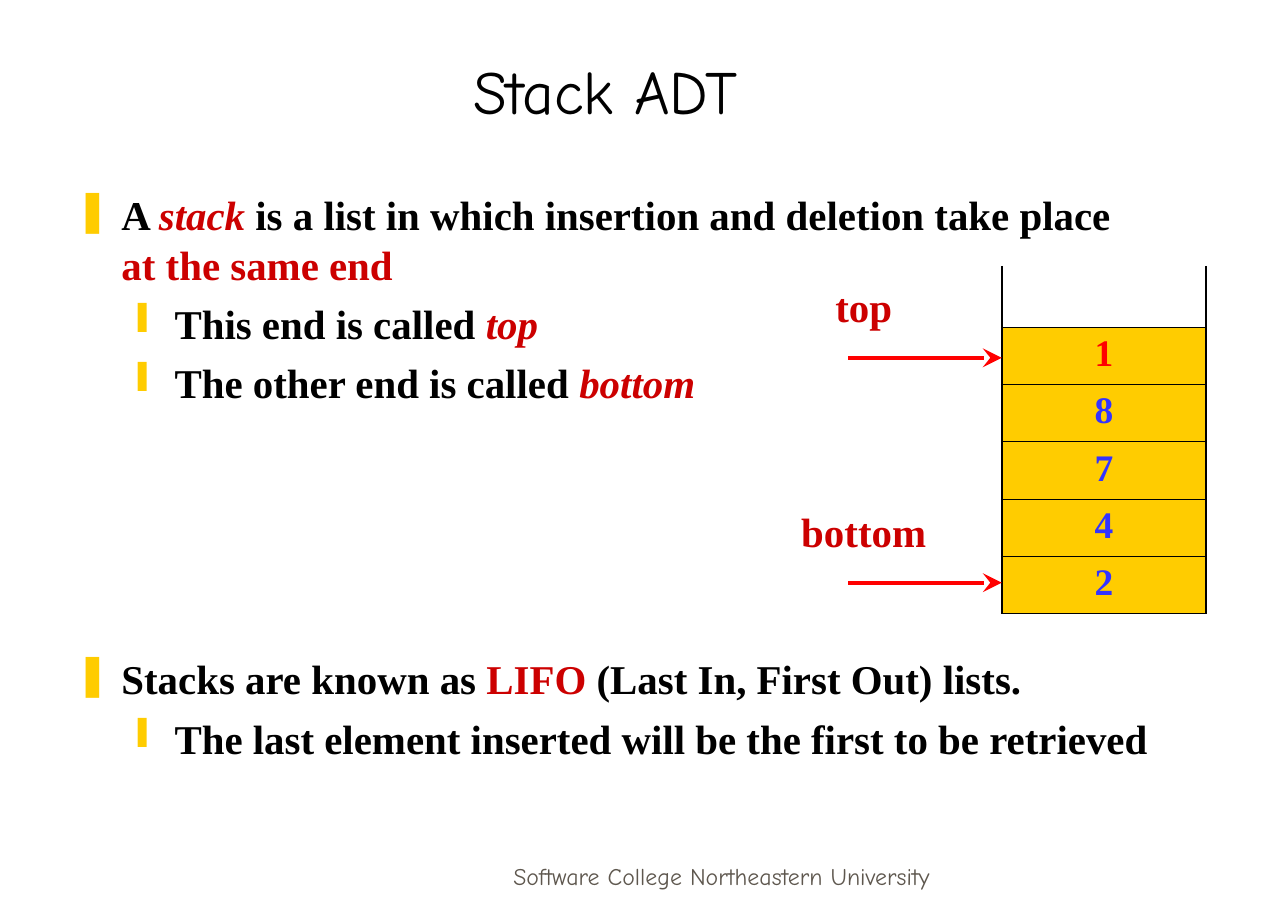
from lxml.etree import SubElement
from pptx import Presentation
from pptx.dml.color import RGBColor
from pptx.enum.shapes import MSO_CONNECTOR
from pptx.enum.text import MSO_ANCHOR, MSO_AUTO_SIZE, PP_ALIGN
from pptx.oxml.ns import qn
from pptx.util import Emu, Pt

BLACK = RGBColor(0x00, 0x00, 0x00)
CRIMSON = RGBColor(0xCC, 0x00, 0x00)
RED = RGBColor(0xFF, 0x00, 0x00)
BLUE = RGBColor(0x33, 0x33, 0xFF)
GOLD = RGBColor(0xFF, 0xCC, 0x00)
GREY = RGBColor(0x5E, 0x57, 0x4E)
SERIF, COMIC = "Times New Roman", "Comic Neue"

# Content
TITLE = "Stack ADT"
FOOTER = "Software College Northeastern University"
# Each point: level, space before in points, runs of (text, colour, italic)
POINTS = [
    (0, 6, [("A ", BLACK, False), ("stack", CRIMSON, True),
            (" is a list in which insertion and deletion take place ", BLACK, False),
            ("at the same end", CRIMSON, False)]),
    (1, 6, [("This end is called ", BLACK, False), ("top", CRIMSON, True)]),
    (1, 6, [("The other end is called ", BLACK, False), ("bottom", CRIMSON, True)]),
    (0, 145, [("Stacks are known as ", BLACK, False), ("LIFO", CRIMSON, False),
              (" (Last In, First Out) lists.", BLACK, False)]),
    (1, 6, [("The last element inserted will be the first to be retrieved", BLACK, False)]),
]
BULLETS = [("❚", 45, 45), ("❙", 97, 37)]  # character, margin, hanging indent
STACK = ["1", "8", "7", "4", "2"]
POINTERS = [("top", 350), ("bottom", 570)]

# Layout: 120 px to the inch
PX = 7620
STACK_X, STACK_Y, STACK_W = 980, 260, 200
OPEN_H, CELL_H = 60, 56
ARROW_W, LABEL_X, LABEL_W, LABEL_H, LABEL_RISE = 150, 790, 110, 60, 80


def px(*lengths):
    return [Emu(n * PX) for n in lengths]


def style(r, size, color, font=SERIF, bold=True, italic=False):
    r.font.size, r.font.name = Pt(size), font
    r.font.bold, r.font.italic = bold, italic
    r.font.color.rgb = color


def fill_text(tf, text, anchor, *look, wrap=True):
    tf.text = text
    tf.word_wrap = wrap
    tf.auto_size = MSO_AUTO_SIZE.NONE
    tf.vertical_anchor = anchor
    p = tf.paragraphs[0]
    p.alignment = PP_ALIGN.CENTER
    style(p.runs[0], *look)


def add_bullet(p, level):
    char, margin, hang = BULLETS[level]
    pPr = p._p.get_or_add_pPr()
    pPr.set("marL", str(margin * PX))
    pPr.set("indent", str(-hang * PX))
    color = SubElement(pPr, qn("a:buClr"))
    SubElement(color, qn("a:srgbClr"), val=str(GOLD))
    SubElement(pPr, qn("a:buChar"), char=char)


def set_borders(cell, widths):
    tcPr = cell._tc.get_or_add_tcPr()
    for i, (side, width) in enumerate(zip("LRTB", widths)):
        ln = SubElement(tcPr, qn(f"a:ln{side}"), w=str(int(Pt(width))))
        if width:
            SubElement(SubElement(ln, qn("a:solidFill")), qn("a:srgbClr"), val=str(BLACK))
        else:
            SubElement(ln, qn("a:noFill"))
        tcPr.insert(i, ln)


prs = Presentation()
prs.slide_width, prs.slide_height = px(1260, 900)
slide = prs.slides.add_slide(prs.slide_layouts[5])
shapes = slide.shapes

# Title and footer
title = shapes.title
title.left, title.top, title.width, title.height = px(56, 30, 1072, 100)
fill_text(title.text_frame, TITLE, MSO_ANCHOR.BOTTOM, 36, BLACK, COMIC, False)
footer = shapes.add_textbox(*px(431, 817, 550, 60))
fill_text(footer.text_frame, FOOTER, MSO_ANCHOR.BOTTOM, 14, GREY, COMIC, False)

# Bulleted points
tf = shapes.add_textbox(*px(62, 180, 1078, 616)).text_frame
tf.word_wrap = True
for i, (level, before, runs) in enumerate(POINTS):
    p = tf.add_paragraph() if i else tf.paragraphs[0]
    p.level = level
    p.space_before = Pt(before)
    add_bullet(p, level)
    for text, color, italic in runs:
        r = p.add_run()
        r.text = text
        style(r, 24, color, italic=italic)

# Stack, open at the top
rows = len(STACK) + 1
table = shapes.add_table(rows, 1, *px(STACK_X, STACK_Y, STACK_W,
                                      OPEN_H + CELL_H * len(STACK))).table
table.first_row = table.horz_banding = False
for i, value in enumerate([""] + STACK):
    table.rows[i].height = Emu((CELL_H if i else OPEN_H) * PX)
    cell = table.cell(i, 0)
    if value:
        cell.fill.solid()
        cell.fill.fore_color.rgb = GOLD
        cell.text = value
        p = cell.text_frame.paragraphs[0]
        p.alignment = PP_ALIGN.CENTER
        style(p.runs[0], 22, RED if i == 1 else BLUE)
    else:
        cell.fill.background()
    set_borders(cell, (1.08, 1.08, 0.45 if i else 0, 0.45 if i < rows - 1 else 1.08))

# Labelled arrows to both ends of the stack
for name, y in POINTERS:
    arrow = shapes.add_connector(MSO_CONNECTOR.STRAIGHT,
                                 *px(STACK_X - ARROW_W, y, STACK_X, y))
    arrow.line.color.rgb = RED
    arrow.line.width = Pt(2.25)
    SubElement(arrow.line._get_or_add_ln(), qn("a:tailEnd"),
               type="stealth", w="lg", len="lg")
    SubElement(arrow._element.spPr, qn("a:effectLst"))
    label = shapes.add_textbox(*px(LABEL_X, y - LABEL_RISE, LABEL_W, LABEL_H))
    fill_text(label.text_frame, name, MSO_ANCHOR.MIDDLE, 24, CRIMSON, wrap=False)

prs.save("out.pptx")
